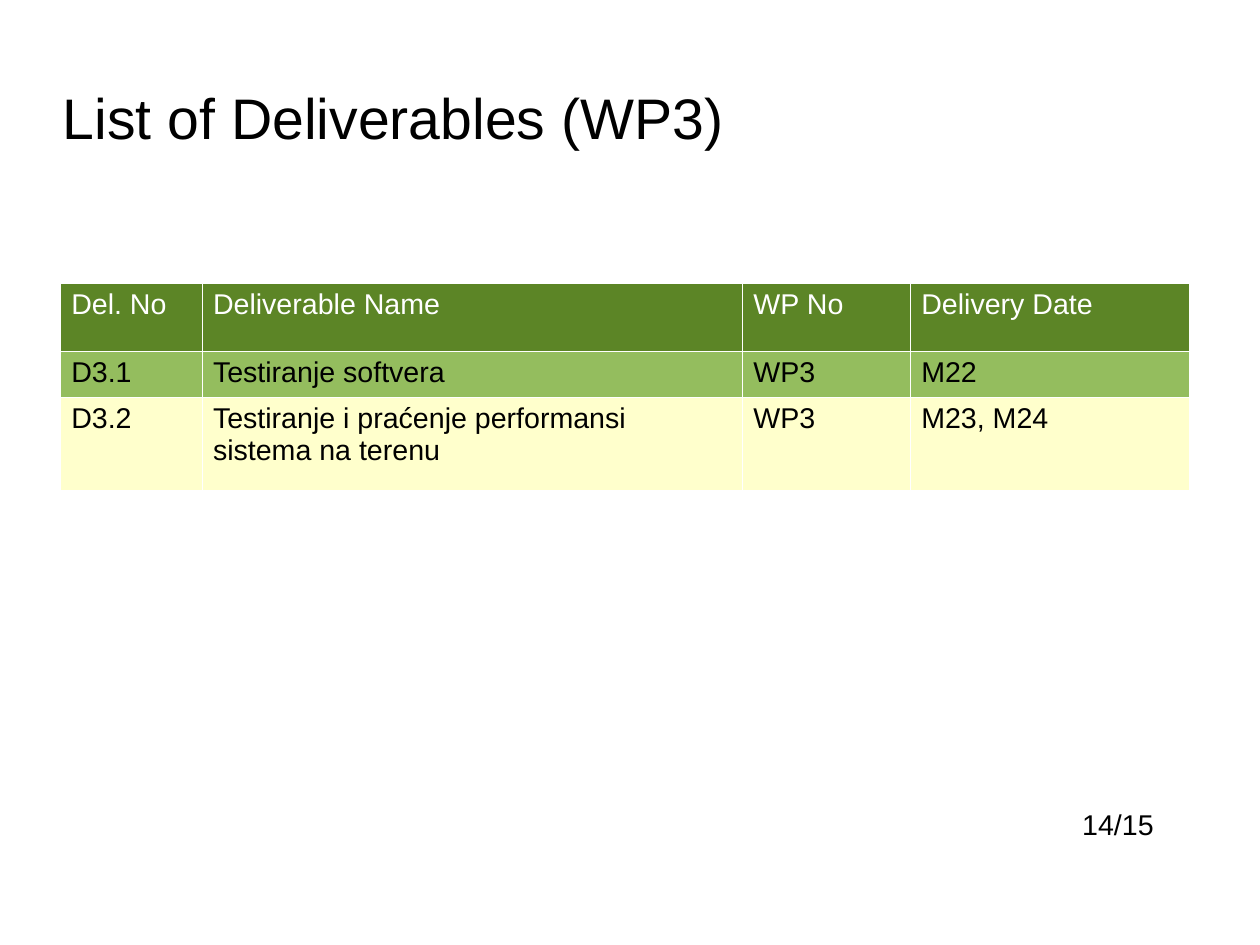
from lxml import etree
from pptx import Presentation
from pptx.dml.color import RGBColor
from pptx.enum.text import MSO_ANCHOR
from pptx.oxml.ns import qn
from pptx.util import Cm, Pt

TOP, MIDDLE = MSO_ANCHOR.TOP, MSO_ANCHOR.MIDDLE

FONT = "Arial"
TITLE = "List of Deliverables (WP3)"
PAGE = "14/15"
COL_WIDTHS = (3.15, 12.01, 3.73, 6.2)
# height, fill, text colour, cells
ROWS = [
    (1.52, "5C8526", "FFFFFF",
     ("Del. No", "Deliverable Name", "WP No", "Delivery Date")),
    (0.97, "94BD5E", "000000",
     ("D3.1", "Testiranje softvera", "WP3", "M22")),
    (2.08, "FFFFCC", "000000",
     ("D3.2", "Testiranje i praćenje performansi sistema na terenu",
      "WP3", "M23, M24")),
]
BORDER_COLOR, BORDER_WIDTH = "FFFFFF", Pt(0.06)


def rgb(color):
    return RGBColor.from_string(color)


def write(tf, text, size, color):
    tf.text = text
    font = tf.paragraphs[0].runs[0].font
    font.name, font.size = FONT, Pt(size)
    font.color.rgb = rgb(color)


def add_text(slide, box, text, size, anchor=TOP, inset=(0.25, 0.13), wrap=True):
    tf = slide.shapes.add_textbox(*map(Cm, box)).text_frame
    tf.word_wrap, tf.vertical_anchor = wrap, anchor
    tf.margin_left = tf.margin_right = Cm(inset[0])
    tf.margin_top = tf.margin_bottom = Cm(inset[1])
    write(tf, text, size, "000000")


def add_borders(cell):
    tc_pr = cell._tc.get_or_add_tcPr()
    for side in ("a:lnL", "a:lnR", "a:lnT", "a:lnB"):
        ln = etree.SubElement(tc_pr, qn(side), w=str(int(BORDER_WIDTH)))
        fill = etree.SubElement(ln, qn("a:solidFill"))
        etree.SubElement(fill, qn("a:srgbClr"), val=BORDER_COLOR)


def add_deliverables(slide, left, top):
    width, height = sum(COL_WIDTHS), sum(row[0] for row in ROWS)
    table = slide.shapes.add_table(len(ROWS), len(COL_WIDTHS), Cm(left), Cm(top),
                                   Cm(width), Cm(height)).table
    for col, col_width in zip(table.columns, COL_WIDTHS):
        col.width = Cm(col_width)
    for row, (row_height, fill, color, texts) in zip(table.rows, ROWS):
        row.height = Cm(row_height)
        for cell, text in zip(row.cells, texts):
            add_borders(cell)
            cell.fill.solid()
            cell.fill.fore_color.rgb = rgb(fill)
            write(cell.text_frame, text, 18, color)


def main():
    prs = Presentation()
    prs.slide_width, prs.slide_height = Cm(28), Cm(21)
    slide = prs.slides.add_slide(prs.slide_layouts[6])
    add_text(slide, (1.4, 1.6, 20, 2), TITLE, 36, anchor=MIDDLE, inset=(0, 0))
    add_deliverables(slide, 1.33, 6.28)
    add_text(slide, (23.8, 17.8, 2.15, 1.37), PAGE, 18, wrap=False)
    prs.save("out.pptx")


if __name__ == "__main__":
    main()
